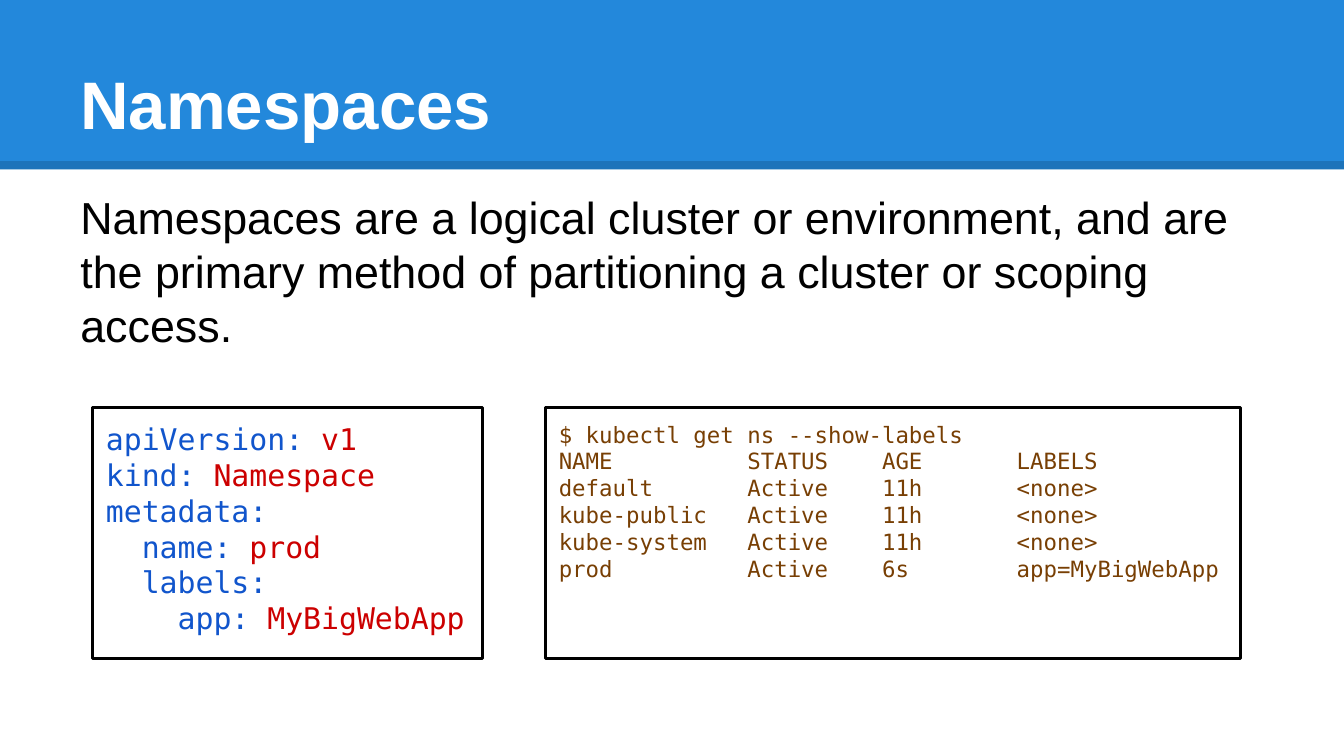
from pptx import Presentation
from pptx.dml.color import RGBColor
from pptx.enum import shapes, text
from pptx.oxml import parse_xml
from pptx.oxml.ns import nsdecls, qn
from pptx.util import Pt

# Content
TITLE = "Namespaces"
BODY = ("Namespaces are a logical cluster or environment, and are the primary "
        "method of partitioning a cluster or scoping access.")
YAML = [
    ("apiVersion: ", "v1"),
    ("kind: ", "Namespace"),
    ("metadata:", ""),
    ("  name: ", "prod"),
    ("  labels:", ""),
    ("    app: ", "MyBigWebApp"),
]
SHELL = [
    "$ kubectl get ns --show-labels",
    "NAME          STATUS    AGE       LABELS",
    "default       Active    11h       <none>",
    "kube-public   Active    11h       <none>",
    "kube-system   Active    11h       <none>",
    "prod          Active    6s        app=MyBigWebApp",
]

# Style
COLORS = {"band": "2388DB", "white": "FFFFFF", "black": "000000",
          "key": "1155CC", "value": "CC0000", "shell": "783F04"}
SANS, MONO = "Arial", "DejaVu Sans Mono"
WIDTH, HEIGHT = 720, 405
LEFT, INNER = 36, 648
BAND, RULE = 90.75, 88.5
ROW, TALL = 218.2, 134.7
PAD = 7.2


def rgb(name):
    return RGBColor.from_string(COLORS[name])


def style(run, size, font, color, bold=False):
    run.font.size = Pt(size)
    run.font.name = font
    run.font.bold = bold
    run.font.color.rgb = rgb(color)


def fit(frame, anchor):
    frame.word_wrap = True
    frame.vertical_anchor = anchor
    frame.margin_left = frame.margin_right = Pt(PAD)
    frame.margin_top = frame.margin_bottom = Pt(PAD)


def label(words, top, height, size, color, anchor, bold=False):
    box = slide.shapes.add_textbox(Pt(LEFT), Pt(top), Pt(INNER), Pt(height))
    box.text_frame.text = words
    fit(box.text_frame, anchor)
    style(box.text_frame.paragraphs[0].runs[0], size, SANS, color, bold)


def panel(left, width, lines, size):
    box = slide.shapes.add_shape(shapes.MSO_SHAPE.RECTANGLE,
                                 Pt(left), Pt(ROW), Pt(width), Pt(TALL))
    box.shadow.inherit = False
    box.fill.background()
    box.line.color.rgb = rgb("black")
    box.line.width = Pt(1.5)
    frame = box.text_frame
    fit(frame, text.MSO_ANCHOR.TOP)
    for i, parts in enumerate(lines):
        para = frame.paragraphs[0] if i == 0 else frame.add_paragraph()
        para.alignment = text.PP_ALIGN.LEFT
        for words, color in parts:
            if words:
                run = para.add_run()
                run.text = words
                style(run, size, MONO, color)


deck = Presentation()
deck.slide_width, deck.slide_height = Pt(WIDTH), Pt(HEIGHT)
slide = deck.slides.add_slide(deck.slide_layouts[6])

# Header band
band = slide.shapes.add_shape(shapes.MSO_SHAPE.RECTANGLE,
                              0, 0, Pt(WIDTH), Pt(BAND))
band.shadow.inherit = False
band.fill.solid()
band.fill.fore_color.rgb = rgb("band")
band.line.fill.background()

# Translucent rule along the foot of the band
rule = slide.shapes.add_connector(shapes.MSO_CONNECTOR.STRAIGHT,
                                  0, Pt(RULE), Pt(WIDTH), Pt(RULE))
rule.line.color.rgb = rgb("black")
rule.line.width = Pt(4.5)
tint = next(rule.line._ln.iter(qn("a:srgbClr")))
tint.append(parse_xml(f'<a:alpha {nsdecls("a")} val="15000"/>'))
rule._element.spPr.append(parse_xml(f'<a:effectLst {nsdecls("a")}/>'))

# Title and body
label(TITLE, 16.5, 67.5, 36, "white", text.MSO_ANCHOR.BOTTOM, bold=True)
label(BODY, 94.5, 123.7, 24, "black", text.MSO_ANCHOR.TOP)

# Code panels
panel(49.7, 209, [[(key, "key"), (val, "value")] for key, val in YAML], 16)
panel(292.3, 372.2, [[(line, "shell")] for line in SHELL], 12)

deck.save("out.pptx")
